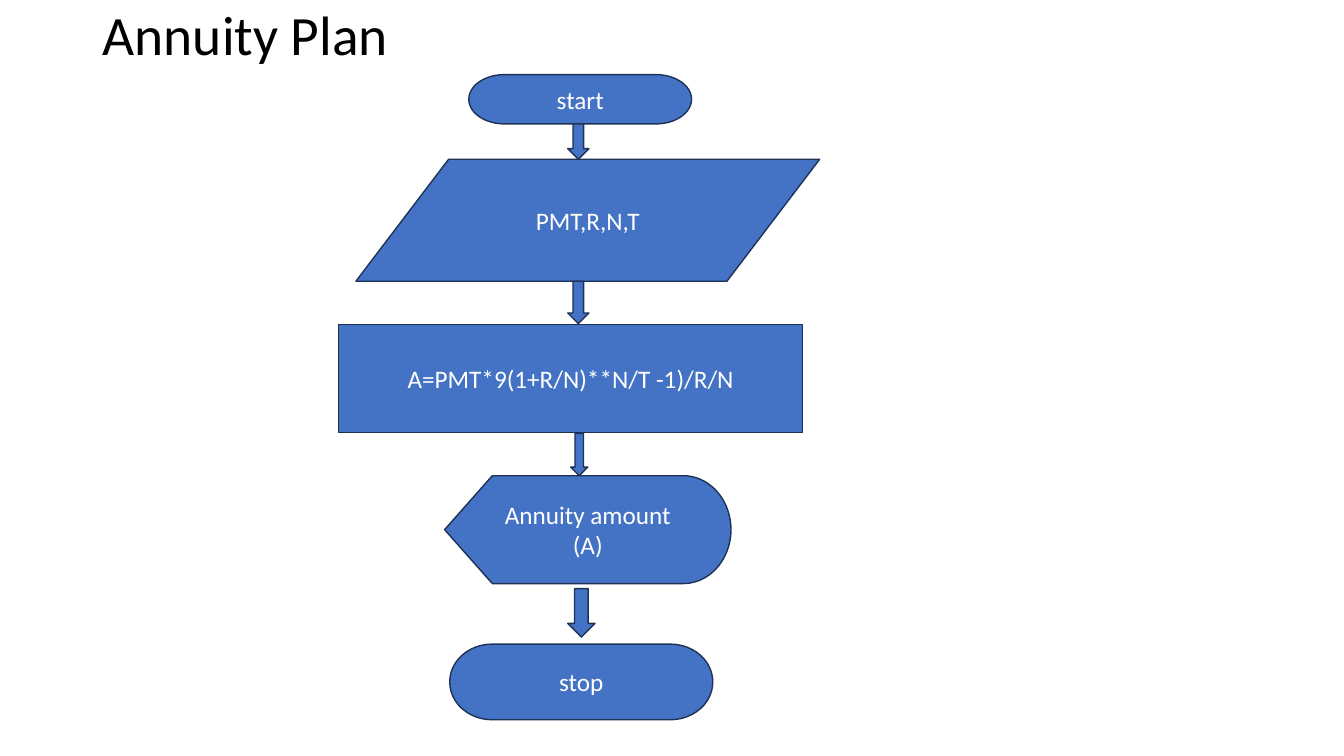
from dataclasses import dataclass

from pptx import Presentation
from pptx.dml.color import RGBColor
from pptx.enum.shapes import MSO_SHAPE as Preset
from pptx.enum.text import MSO_ANCHOR as Anchor, PP_ALIGN as Align
from pptx.util import Inches, Pt


@dataclass(frozen=True)
class Theme:
    font: str = "Calibri"
    fill: RGBColor = RGBColor(0x44, 0x72, 0xC4)
    outline: RGBColor = RGBColor(0x1E, 0x32, 0x56)
    light: RGBColor = RGBColor(0xFF, 0xFF, 0xFF)
    dark: RGBColor = RGBColor(0, 0, 0)
    title_size: float = 39.6
    step_size: float = 18
    line_width: float = 1


THEME = Theme()
WIDTH, HEIGHT = Inches(13.33), Inches(7.5)

# Lengths are percentages of the slide's width or height.
TITLE = "Annuity Plan"
TITLE_LEFT, TITLE_WIDTH, TITLE_HEIGHT = 6.9, 86.27, 9.87

# Top to bottom: preset, text, gap above, left, width, height
FLOW = [
    (Preset.FLOWCHART_TERMINATOR, "start", 0, 34.88, 16.58, 6.53),
    (Preset.DOWN_ARROW, "", 0, 42.24, 1.58, 4.67),
    (Preset.FLOWCHART_DATA, "PMT,R,N,T", 0, 26.48, 34.51, 16.13),
    (Preset.DOWN_ARROW, "", 0, 42.24, 1.58, 5.6),
    (Preset.FLOWCHART_PROCESS, "A=PMT*9(1+R/N)**N/T -1)/R/N", 0.13, 25.21, 34.51, 14.27),
    (Preset.DOWN_ARROW, "", 0.13, 42.46, 1.28, 5.6),
    (Preset.FLOWCHART_DISPLAY, "Annuity amount (A)", 0, 33.08, 21.31, 14.27),
    (Preset.DOWN_ARROW, "", 0.67, 42.24, 2.03, 6.4),
    (Preset.FLOWCHART_TERMINATOR, "stop", 0.93, 33.46, 19.58, 10),
]


def place(left, top, width, height):
    """Turn percentages of the slide into lengths."""
    return [round(share * full / 100) for share, full in
            ((left, WIDTH), (top, HEIGHT), (width, WIDTH), (height, HEIGHT))]


def write(shape, text, size, color, alignment):
    frame = shape.text_frame
    frame.word_wrap = True
    frame.vertical_anchor = Anchor.MIDDLE
    paragraph = frame.paragraphs[0]
    paragraph.text = text
    paragraph.alignment = alignment
    paragraph.font.name = THEME.font
    paragraph.font.size = Pt(size)
    paragraph.font.color.rgb = color
    return paragraph


def add_title(slide):
    box = slide.shapes.add_textbox(*place(TITLE_LEFT, 0, TITLE_WIDTH, TITLE_HEIGHT))
    paragraph = write(box, TITLE, THEME.title_size, THEME.dark, Align.LEFT)
    paragraph.line_spacing = 0.9


def add_flow(slide):
    """Stack the steps and arrows downwards from the title's lower edge."""
    top = TITLE_HEIGHT
    for preset, text, gap, left, width, height in FLOW:
        top += gap
        shape = slide.shapes.add_shape(preset, *place(left, top, width, height))
        shape.shadow.inherit = False
        shape.fill.solid()
        shape.fill.fore_color.rgb = THEME.fill
        shape.line.color.rgb = THEME.outline
        shape.line.width = Pt(THEME.line_width)
        if text:
            write(shape, text, THEME.step_size, THEME.light, Align.CENTER)
        top += height


def main():
    presentation = Presentation()
    presentation.slide_width, presentation.slide_height = WIDTH, HEIGHT
    slide = presentation.slides.add_slide(presentation.slide_layouts[6])
    add_title(slide)
    add_flow(slide)
    presentation.save("out.pptx")


if __name__ == "__main__":
    main()
